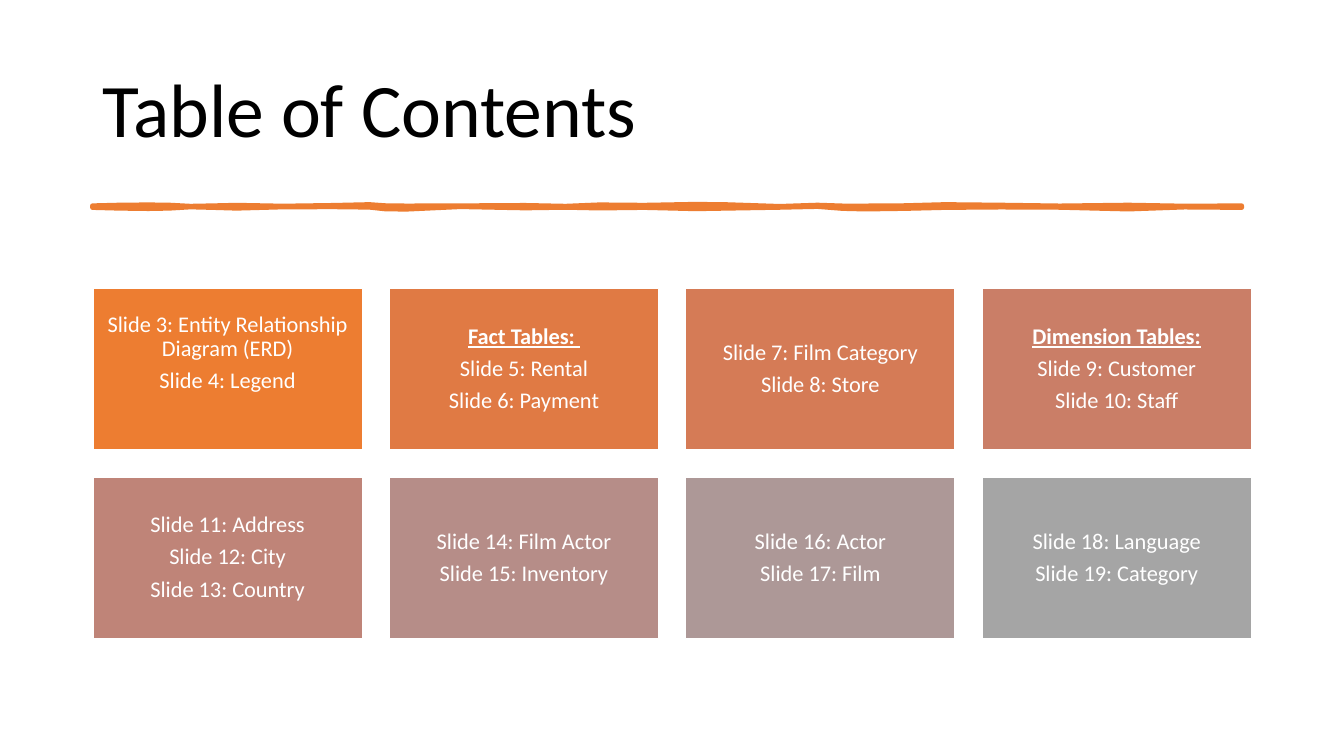
import pptx
import pptx.util
import pptx.dml.color
import pptx.enum.shapes
import pptx.enum.text

Pt = pptx.util.Pt
FONT = "Calibri"
ORANGE = "ED7D31"
WHITE = "FFFFFF"

CARDS = [
    (ORANGE, ["Slide 3: Entity Relationship Diagram (ERD)", "Slide 4: Legend"]),
    ("E07A44", ["Fact Tables: ", "Slide 5: Rental", "Slide 6: Payment"]),
    ("D57B56", ["Slide 7: Film Category", "Slide 8: Store"]),
    ("CA7E67", ["Dimension Tables:", "Slide 9: Customer", "Slide 10: Staff"]),
    ("BF8478", ["Slide 11: Address", "Slide 12: City", "Slide 13: Country"]),
    ("B68D88", ["Slide 14: Film Actor", "Slide 15: Inventory"]),
    ("AD9897", ["Slide 16: Actor", "Slide 17: Film"]),
    ("A5A5A5", ["Slide 18: Language", "Slide 19: Category"]),
]

WAVE = [
    (66, 146.9, 148.3), (85, 146.4, 148.8), (106, 146.2, 149.1),
    (121, 146.4, 148.8), (136, 147.2, 147.9), (152, 146.9, 148.3),
    (169, 146.5, 148.8), (202, 147.1, 147.9), (238, 146.6, 147.8),
    (264, 146, 148.1), (275, 146.8, 149.3), (290, 147, 149.5),
    (329, 146.9, 147.7), (375, 146.6, 148.6), (404, 147.2, 148.2),
    (428, 146.2, 148.7), (460, 146.5, 148.3), (497, 145.8, 149.2),
    (520, 146.1, 148.8), (557, 147.3, 148.2), (584, 146.4, 147.6),
    (602, 147, 149), (618, 147, 149.4), (646, 146.8, 149),
    (675, 146, 148.3), (715, 146.4, 148), (757, 147, 148.2),
    (806, 146.4, 149.4), (846, 147.1, 148), (887, 146.9, 148.3),
]


def color(code):
    return pptx.dml.color.RGBColor.from_string(code)


def paint(shape, fill, line, width):
    shape.shadow.inherit = False
    shape.fill.solid()
    shape.fill.fore_color.rgb = color(fill)
    shape.line.color.rgb = color(line)
    shape.line.width = Pt(width)


def style(para, size, code):
    para.line_spacing = 0.9
    para.font.name = FONT
    para.font.size = Pt(size)
    para.font.color.rgb = color(code)


def add_title(slide, text):
    box = slide.shapes.add_textbox(Pt(66), Pt(28.75), Pt(828), Pt(104.4))
    frame = box.text_frame
    frame.word_wrap = True
    frame.vertical_anchor = pptx.enum.text.MSO_ANCHOR.MIDDLE
    frame.text = text
    style(frame.paragraphs[0], 54, "000000")


def add_wave(slide):
    upper = [(Pt(x), Pt(top)) for x, top, low in WAVE]
    lower = [(Pt(x), Pt(low)) for x, top, low in reversed(WAVE)]
    outline = upper + lower
    pen = slide.shapes.build_freeform(*outline[0])
    pen.add_line_segments(outline[1:], close=True)
    paint(pen.convert_to_shape(), ORANGE, ORANGE, 3.25)


def add_card(slide, left, top, fill, lines):
    card = slide.shapes.add_shape(
        pptx.enum.shapes.MSO_SHAPE.RECTANGLE,
        Pt(left), Pt(top), Pt(192.4), Pt(115.4))
    paint(card, fill, WHITE, 1)
    frame = card.text_frame
    frame.word_wrap = True
    frame.vertical_anchor = pptx.enum.text.MSO_ANCHOR.MIDDLE
    frame.margin_left = frame.margin_right = Pt(4.8)
    frame.margin_top = frame.margin_bottom = Pt(4.8)
    frame.text = "\n".join(lines)
    for para in frame.paragraphs:
        style(para, 16, WHITE)
        para.alignment = pptx.enum.text.PP_ALIGN.CENTER
        para.space_after = Pt(5.6)
        if "Tables:" in para.text:
            para.font.bold = True
            para.font.underline = True
    return card


def main():
    deck = pptx.Presentation()
    deck.slide_width = Pt(960)
    deck.slide_height = Pt(540)
    slide = deck.slides.add_slide(deck.slide_layouts[6])
    add_title(slide, "Table of Contents")
    add_wave(slide)
    cards = []
    for index, (fill, lines) in enumerate(CARDS):
        row, col = divmod(index, 4)
        left, top = 66.4 + col * 211.7, 206 + row * 134.7
        cards.append(add_card(slide, left, top, fill, lines))
    cards[0].text_frame.margin_bottom = Pt(28)
    deck.save("out.pptx")


if __name__ == "__main__":
    main()
